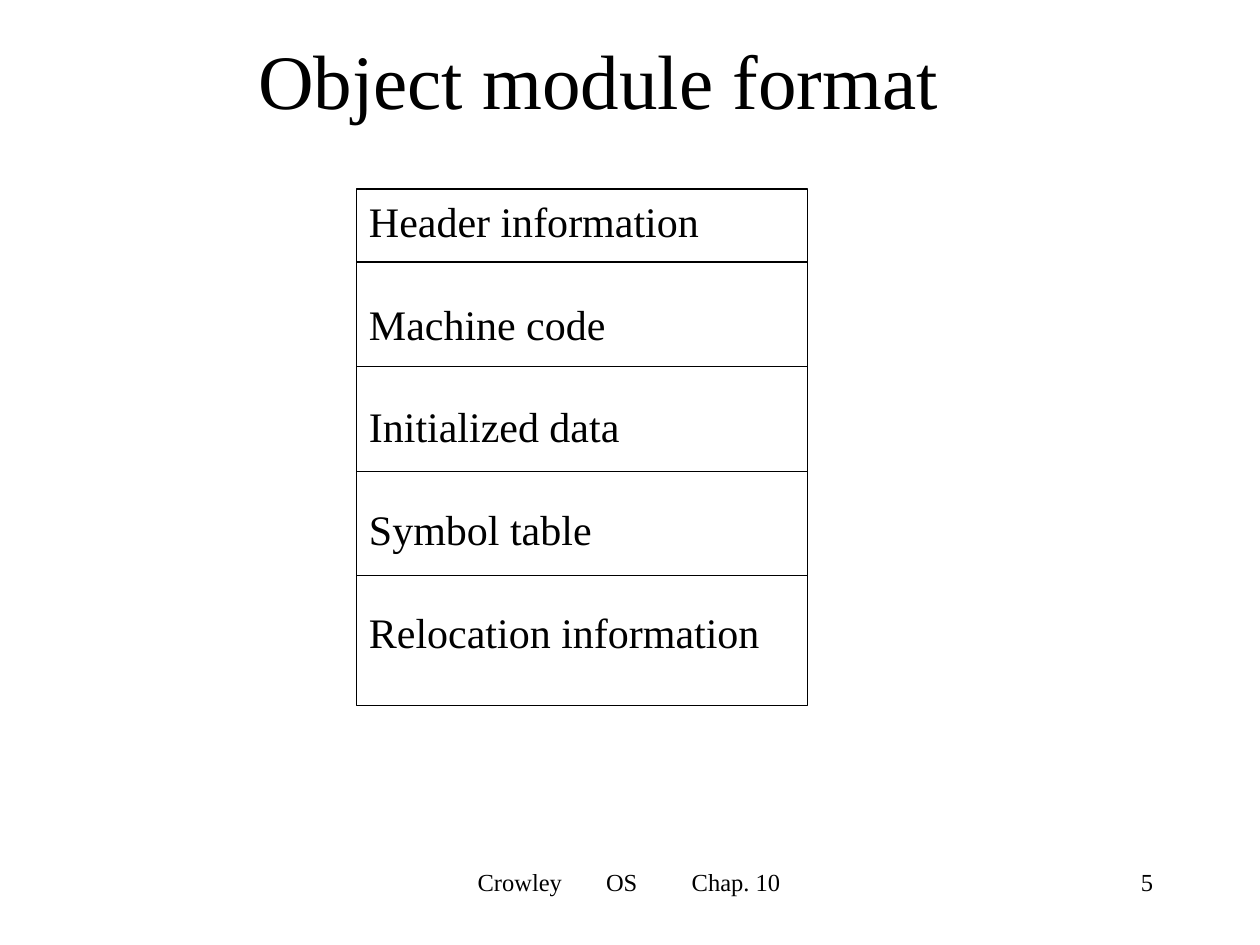
"""Build the slide that shows the sections of an object module."""
from lxml.etree import SubElement
from pptx import Presentation
from pptx.dml.color import RGBColor
from pptx.enum.shapes import MSO_CONNECTOR, MSO_SHAPE
from pptx.enum.text import MSO_ANCHOR, PP_ALIGN
from pptx.oxml.ns import qn
from pptx.util import Inches, Pt

TITLE = "Object module format"
SECTIONS = [
    "Header information",
    "Machine code",
    "Initialized data",
    "Symbol table",
    "Relocation information",
]
FOOTER = ["Crowley", "OS", "Chap. 10"]
PAGE = "5"

COLORS = {"ink": "000000", "paper": "FFFFFF"}
FONT = "Times New Roman"
SLIDE_W, SLIDE_H = 10, 7.5
MODULE_LEFT, MODULE_TOP, MODULE_W, MODULE_H = 2.83, 1.5, 3.58, 4.1
FIRST_ROW, ROW = 0.58, 0.83
FOOTER_TOP, FOOTER_H = 6.83, 0.5
FOOTER_TABS = [1.02, 1.7]


def color(name):
    return RGBColor.from_string(COLORS[name])


def format_text(frame, size, align):
    for paragraph in frame.paragraphs:
        paragraph.alignment = align
        for run in paragraph.runs:
            run.font.size = Pt(size)
            run.font.name = FONT
            run.font.color.rgb = color("ink")


def draw_outline(line):
    line.color.rgb = color("ink")
    line.width = Pt(0.75)


def add_title(slide):
    title = slide.shapes.title
    title.left, title.top = Inches(0.5), 0
    title.width, title.height = Inches(8.5), Inches(1.25)
    title.text_frame.text = TITLE
    title.text_frame.vertical_anchor = MSO_ANCHOR.MIDDLE
    format_text(title.text_frame, 44, PP_ALIGN.CENTER)


def add_module(slide):
    module = slide.shapes.add_group_shape().shapes
    box = module.add_shape(
        MSO_SHAPE.RECTANGLE,
        *map(Inches, (MODULE_LEFT, MODULE_TOP, MODULE_W, MODULE_H)),
    )
    box.shadow.inherit = False
    box.fill.background()
    draw_outline(box.line)
    frame = box.text_frame
    frame.word_wrap = True
    frame.vertical_anchor = MSO_ANCHOR.TOP
    frame.text = "\n".join(SECTIONS)
    format_text(frame, 24, PP_ALIGN.LEFT)
    for index, section in enumerate(frame.paragraphs):
        section.space_before = Pt(30 if index else 2)

    for index in range(len(SECTIONS) - 1):
        y = Inches(MODULE_TOP + FIRST_ROW + index * ROW)
        divider = module.add_connector(
            MSO_CONNECTOR.STRAIGHT,
            Inches(MODULE_LEFT), y, Inches(MODULE_LEFT + MODULE_W), y,
        )
        draw_outline(divider.line)
        SubElement(divider.element.spPr, qn("a:effectLst"))


def add_footer_text(slide, text, left, width, align):
    box = slide.shapes.add_textbox(
        *map(Inches, (left, FOOTER_TOP, width, FOOTER_H))
    )
    box.text_frame.word_wrap = True
    box.text_frame.text = text
    format_text(box.text_frame, 14, align)
    return box.text_frame


def add_footer(slide):
    course = add_footer_text(slide, "\t".join(FOOTER), 3.42, 3.17, PP_ALIGN.LEFT)
    course.margin_left = Inches(0.37)
    properties = course.paragraphs[0]._p.get_or_add_pPr()
    tab_list = SubElement(properties, qn("a:tabLst"))
    for position in FOOTER_TABS:
        SubElement(tab_list, qn("a:tab"), pos=str(Inches(position)), algn="l")
    add_footer_text(slide, PAGE, 7.17, 2.08, PP_ALIGN.RIGHT)


def main():
    deck = Presentation()
    deck.slide_width, deck.slide_height = Inches(SLIDE_W), Inches(SLIDE_H)
    slide = deck.slides.add_slide(deck.slide_layouts[5])
    slide.background.fill.solid()
    slide.background.fill.fore_color.rgb = color("paper")
    add_title(slide)
    add_module(slide)
    add_footer(slide)
    deck.save("out.pptx")


if __name__ == "__main__":
    main()
